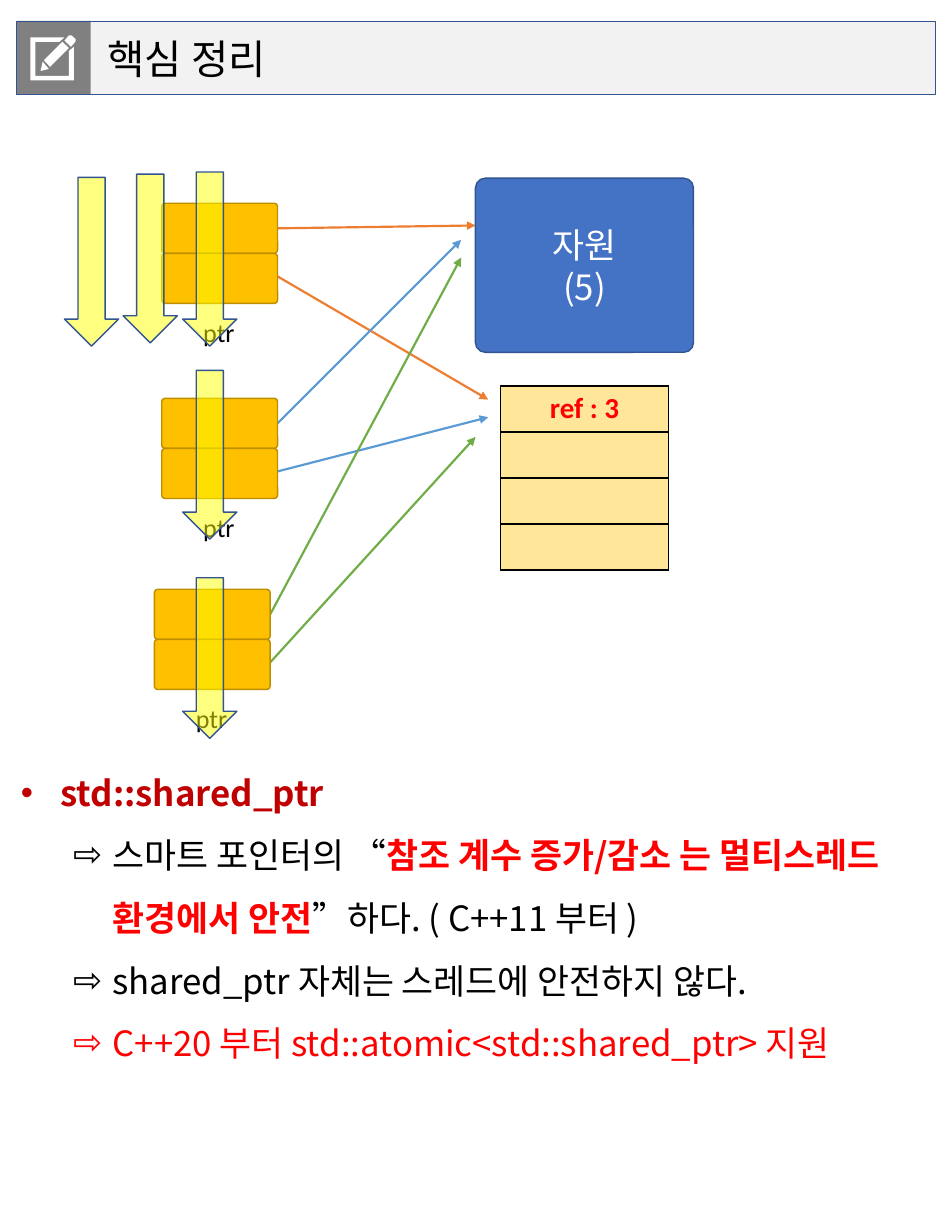
import pptx
import pptx.util
import pptx.dml.color
import pptx.enum.shapes
import pptx.enum.text
import pptx.oxml.ns
import lxml.etree

Cm, Pt = pptx.util.Cm, pptx.util.Pt
qn = pptx.oxml.ns.qn
SHAPE = pptx.enum.shapes.MSO_SHAPE
ALIGN = pptx.enum.text.PP_ALIGN
ANCHOR = pptx.enum.text.MSO_ANCHOR
KOREAN, LATIN = "Noto Sans CJK KR", "Calibri"
NAVY, AMBER, RED, BLACK = "325491", "FFC000", "FF0000", "000000"


def paint(fill, color):
    """Fill an area, line or font with a hex colour; None leaves it empty."""
    if color is None:
        fill.background()
    else:
        fill.solid()
        fill.fore_color.rgb = pptx.dml.color.RGBColor.from_string(color)


def write(para, text, size=24, font=KOREAN, color=BLACK, bold=False, align=ALIGN.LEFT):
    """Add a formatted span to a paragraph."""
    para.alignment = align
    span = para.add_run()
    span.text = text
    span.font.size, span.font.bold, span.font.name = Pt(size), bold, font
    paint(span.font.fill, color)
    lxml.etree.SubElement(span.font._element, qn("a:ea"), typeface=font)


deck = pptx.Presentation()
deck.slide_width, deck.slide_height = Cm(23.16), Cm(30)
page = deck.slides.add_slide(deck.slide_layouts[1])
title, body = page.placeholders
header_box = (0.41, 0.51, 22.38, 1.8)

# Title and body placeholders
for holder, box, margins, anchor in [
    (title, header_box, (2.21, 0.13, 0.25, 0.13), ANCHOR.MIDDLE),
    (body, (0, 17.98, 23.14, 8.36), (0.51, 0.3, 0.25, 0.51), ANCHOR.TOP),
]:
    holder.left, holder.top, holder.width, holder.height = map(Cm, box)
    frame = holder.text_frame
    frame.margin_left, frame.margin_top, frame.margin_right, frame.margin_bottom = map(Cm, margins)
    frame.vertical_anchor = anchor
    frame.word_wrap = True
    frame.auto_size = pptx.enum.text.MSO_AUTO_SIZE.NONE
paint(title.fill, "F2F2F2")
write(title.text_frame.paragraphs[0], "핵심 정리", size=28)

# Key points: level, then spans of text, colour and weight
points = [
    (0, [("std::shared_ptr", "C00000", True)]),
    (1, [("스마트 포인터의 “", BLACK, False),
         ("참조 계수 증가/감소 는 멀티스레드 환경에서 안전", RED, True),
         ("”하다. ( C++11 부터 )", BLACK, False)]),
    (1, [("shared_ptr 자체는 스레드에 안전하지 않다.", BLACK, False)]),
    (1, [("C++20 부터 std::atomic<std::shared_ptr> 지원", RED, False)]),
]
for index, (level, spans) in enumerate(points):
    para = body.text_frame.add_paragraph() if index else body.text_frame.paragraphs[0]
    para.level = level
    para.line_spacing = 1.5
    para.space_before = para.space_after = Pt(0)
    for text, color, bold in spans:
        write(para, text, color=color, bold=bold)
    layout = para._p.get_or_add_pPr()
    layout.set("marL", str(Cm(0.96 + 1.27 * level)))
    layout.set("indent", str(Cm(-0.96)))
    lxml.etree.SubElement(layout, qn("a:buFont"), typeface="Arial")
    lxml.etree.SubElement(layout, qn("a:buChar"), char="•⇨"[level])

# Reference count table
table = page.shapes.add_table(4, 1, Cm(12.19), Cm(9.4), Cm(4.09), Cm(4.48)).table
table.first_row = table.horz_banding = False
for cell in table.iter_cells():
    for side in ("a:lnL", "a:lnR", "a:lnT", "a:lnB"):
        border = lxml.etree.SubElement(cell._tc.get_or_add_tcPr(), qn(side), w=str(Pt(1)))
        solid = lxml.etree.SubElement(border, qn("a:solidFill"))
        lxml.etree.SubElement(solid, qn("a:srgbClr"), val=BLACK)
    paint(cell.fill, "FFE699")
write(table.cell(0, 0).text_frame.paragraphs[0], "ref : 3",
      size=20, font=LATIN, color=RED, bold=True, align=ALIGN.CENTER)

# Pointers: left, top, colour, ends of the links to resource and count
cell_width, cell_height = 2.82, 1.22
pointers = [
    (3.94, 4.95, "ED7D31", (11.58, 5.49), (11.89, 9.73)),
    (3.94, 9.7, "5B9BD5", (11.23, 5.84), (11.89, 10.16)),
    (3.76, 14.35, "70AD47", (11.23, 6.27), (11.58, 10.64)),
]
pointer_cells = []
for left, top, color, *ends in pointers:
    label = page.shapes.add_textbox(Cm(left + 0.76), Cm(top + 2.62), Cm(1.3), Cm(1.02))
    label.text_frame.word_wrap = False
    write(label.text_frame.paragraphs[0], "ptr", size=18, font=LATIN)
    for row, end in enumerate(ends):
        cell_top = top + row * cell_height
        pointer_cells.append((SHAPE.ROUNDED_RECTANGLE, (left, cell_top, cell_width, cell_height),
                              AMBER, "BD8E00", 1, 0.069))
        start = (left + cell_width, top + 0.61 + row * 1.17)
        link = page.shapes.add_connector(pptx.enum.shapes.MSO_CONNECTOR.STRAIGHT,
                                         *map(Cm, start + end))
        paint(link.line.fill, color)
        link.line.width = Pt(1.5)
        lxml.etree.SubElement(link.line._get_or_add_ln(), qn("a:tailEnd"), type="triangle")
        lxml.etree.SubElement(link._element.spPr, qn("a:effectLst"))

# Thread arrows: left, top, height
threads = [(4.45, 4.19, 4.24), (4.45, 9.02, 4.11), (4.45, 14.07, 3.91),
           (3, 4.24, 4.11), (1.57, 4.32, 4.11)]
thread_arrows = [(SHAPE.DOWN_ARROW, (left, top, 1.32, height), "FFFF00", NAVY, 1, None)
                 for left, top, height in threads]

# Preset shapes: kind, box, fill, line, line width, corner
resource_box = (11.58, 4.34, 5.31, 4.24)
for kind, box, fill, line, width, corner in [
    (SHAPE.RECTANGLE, (0.41, 0.51, 1.8, 1.8), "808080", None, 0, None),
    (SHAPE.RECTANGLE, header_box, None, NAVY, 0.5, None),
    (SHAPE.ROUNDED_RECTANGLE, resource_box, "4472C4", NAVY, 1, 0.056),
    *pointer_cells,
    *thread_arrows,
]:
    shape = page.shapes.add_shape(kind, *map(Cm, box))
    shape.shadow.inherit = False
    paint(shape.fill, fill)
    paint(shape.line.fill, line)
    if line:
        shape.line.width = Pt(width)
    if corner:
        shape.adjustments[0] = corner
    if kind == SHAPE.DOWN_ARROW:
        yellow = shape._element.spPr.find(qn("a:solidFill")).find(qn("a:srgbClr"))
        lxml.etree.SubElement(yellow, qn("a:alpha"), val="50000")
    if box == resource_box:
        frame = shape.text_frame
        frame.vertical_anchor = ANCHOR.MIDDLE
        for para, text in [(frame.paragraphs[0], "자원"), (frame.add_paragraph(), "(5)")]:
            write(para, text, color="FFFFFF", align=ALIGN.CENTER)

# Note icon in hundredths of a centimetre: sheet, then pencil end, shaft and tip
sheet = [(86, 102), (86, 185), (168, 185), (168, 124), (180, 114),
         (180, 196), (74, 196), (74, 91), (157, 91), (145, 102)]
pencil = [[(184, 101), (173, 114), (157, 99), (168, 86), (174, 86), (184, 95)],
          [(168, 117), (122, 163), (107, 147), (152, 102)],
          [(104, 150), (119, 168), (99, 173)]]
builder = page.shapes.build_freeform(*sheet[0], scale=Cm(0.01))
builder.add_line_segments(sheet[1:])
for outline in pencil:
    builder.move_to(*outline[0])
    builder.add_line_segments(outline[1:])
icon = builder.convert_to_shape()
icon.shadow.inherit = False
paint(icon.fill, "FFFFFF")
paint(icon.line.fill, None)

deck.save("out.pptx")
